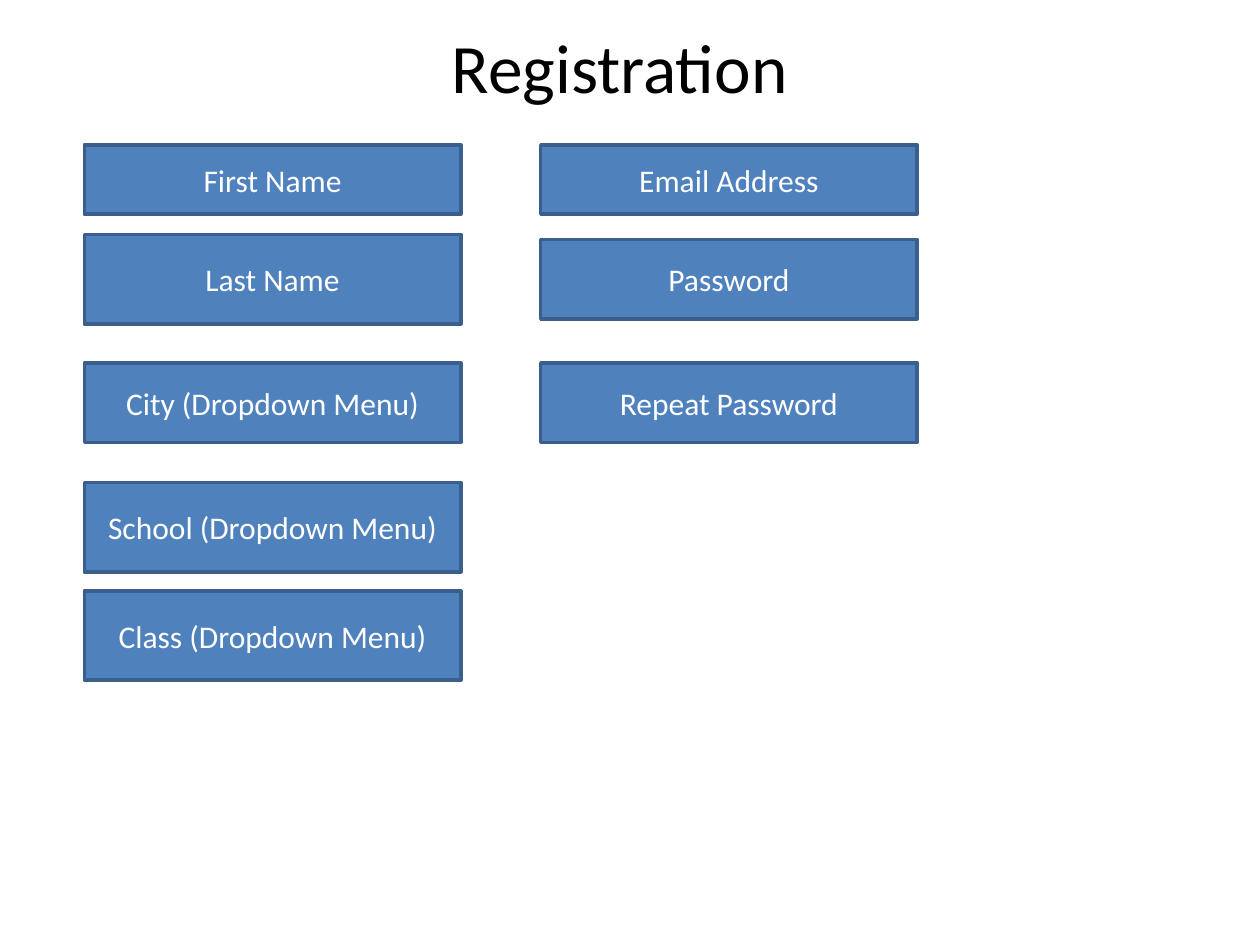
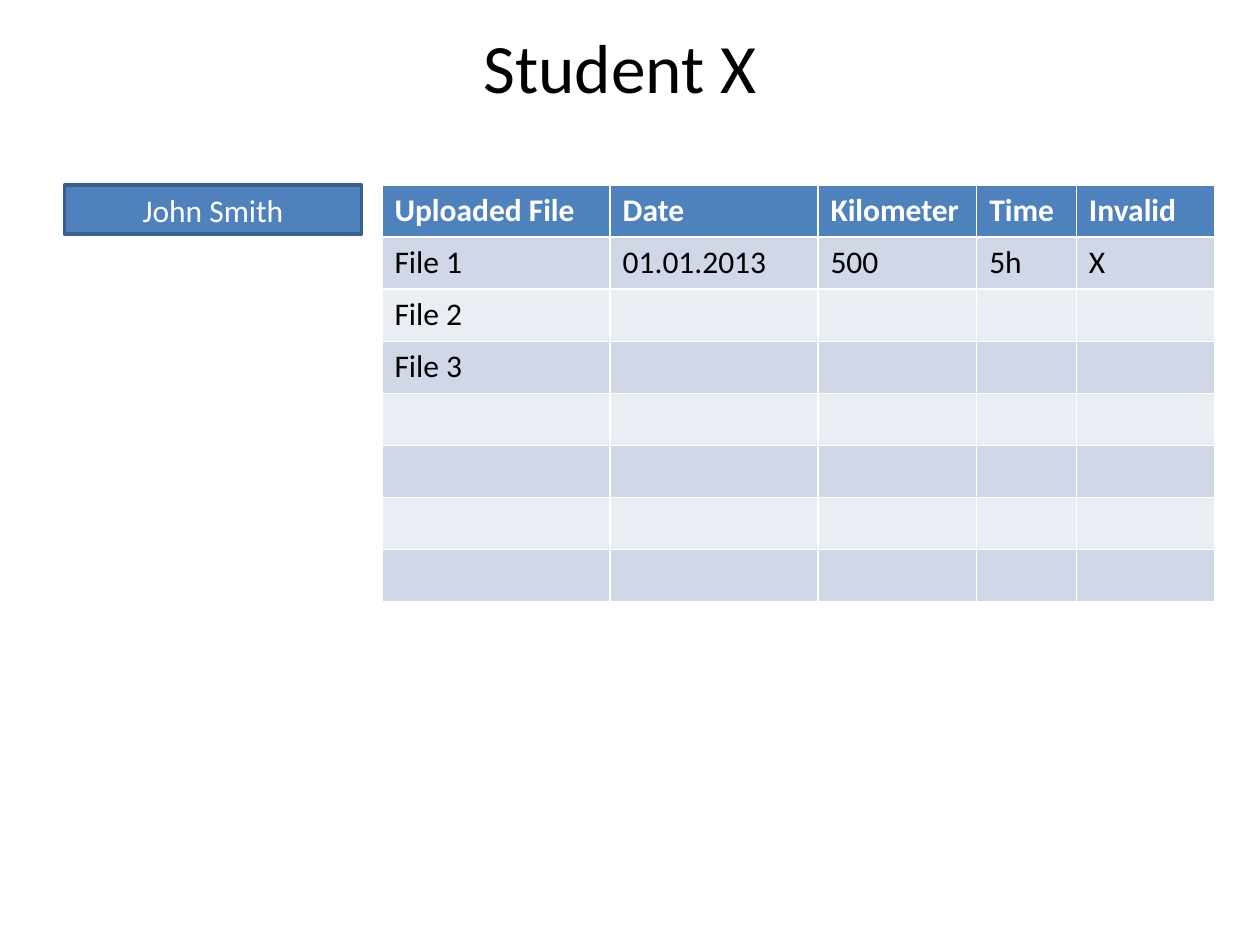
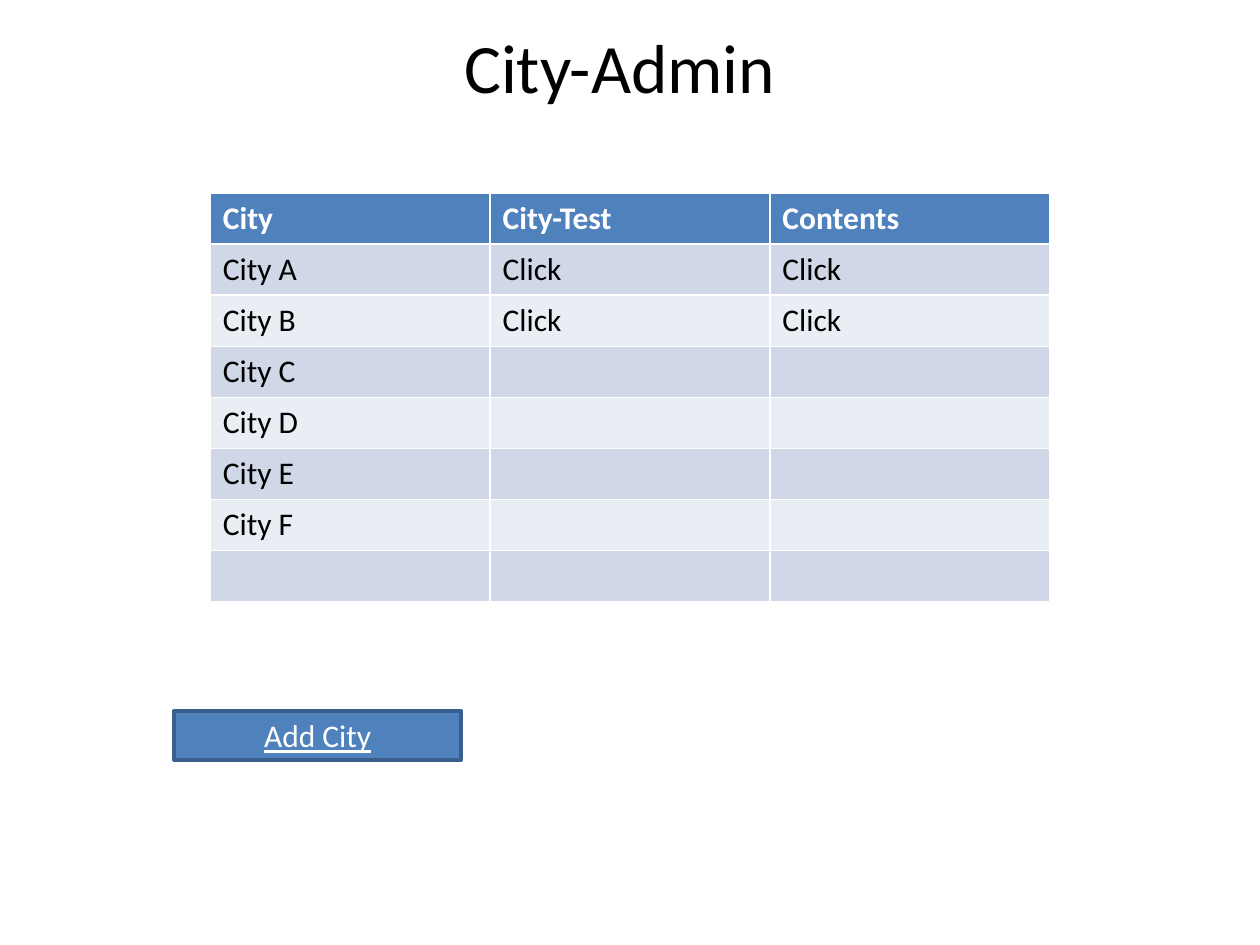
import dataclasses

import pptx
import pptx.dml.color
import pptx.enum.shapes
import pptx.enum.text
import pptx.util

Cm = pptx.util.Cm
Pt = pptx.util.Pt


@dataclasses.dataclass(frozen=True)
class Theme:
    font: str = "Calibri"
    title_size: float = 39.6
    text_size: float = 18
    line_width: float = 2
    black: str = "000000"
    white: str = "FFFFFF"
    blue: str = "4F81BD"
    blue_line: str = "3A5F8C"
    bands: tuple = ("D0D8E8", "E9EDF4")


THEME = Theme()
TITLE_BOX = (3.3, 0.74, 18.39, 1.19)
TITLE_ONLY_LAYOUT = 5
BUTTON_HEIGHT = 0.99

# Form columns: left edge, then (label, height) of each field from the top
FIELD_WIDTH = 7.59
FIELD_ROW_CENTERS = (3.62, 5.63, 8.12, 10.63, 12.81)
FORM_COLUMNS = (
    (1.7, (("First Name", 1.4), ("Last Name", 1.8), ("City (Dropdown Menu)", 1.6),
           ("School (Dropdown Menu)", 1.8), ("Class (Dropdown Menu)", 1.8))),
    (10.9, (("Email Address", 1.4), ("Password", 1.6), ("Repeat Password", 1.6))),
)

TABLE_ROW_COUNT = 8
UPLOADS = (
    ("Uploaded File", "Date", "Kilometer", "Time", "Invalid"),
    ("File 1", "01.01.2013", "500", "5h", "X"),
    ("File 2",),
    ("File 3",),
)
UPLOAD_WIDTHS = (4.6, 4.19, 3.2, 2.01, 2.79)
CITIES = (
    ("City", "City-Test", "Contents"),
    ("City A", "Click", "Click"),
    ("City B", "Click", "Click"),
    ("City C",),
    ("City D",),
    ("City E",),
    ("City F",),
)
CITY_WIDTHS = (5.64,) * 3


def rgb(color):
    return pptx.dml.color.RGBColor.from_string(color)


def format_text(text_frame, size, color, bold=False, underline=False):
    for paragraph in text_frame.paragraphs:
        for run in paragraph.runs:
            run.font.name = THEME.font
            run.font.size = Pt(size)
            run.font.color.rgb = rgb(color)
            run.font.bold = bold
            run.font.underline = underline


def add_titled_slide(presentation, text):
    slide = presentation.slides.add_slide(presentation.slide_layouts[TITLE_ONLY_LAYOUT])
    title = slide.shapes.title
    title.left, title.top, title.width, title.height = map(Cm, TITLE_BOX)
    text_frame = title.text_frame
    text_frame.text = text
    text_frame.auto_size = pptx.enum.text.MSO_AUTO_SIZE.NONE
    text_frame.vertical_anchor = pptx.enum.text.MSO_ANCHOR.MIDDLE
    text_frame.paragraphs[0].alignment = pptx.enum.text.PP_ALIGN.CENTER
    format_text(text_frame, THEME.title_size, THEME.black)
    return slide


def add_box(slide, text, left, top, width, height, underline=False):
    box = slide.shapes.add_shape(pptx.enum.shapes.MSO_SHAPE.RECTANGLE,
                                 Cm(left), Cm(top), Cm(width), Cm(height))
    box.shadow.inherit = False
    box.fill.solid()
    box.fill.fore_color.rgb = rgb(THEME.blue)
    box.line.color.rgb = rgb(THEME.blue_line)
    box.line.width = Pt(THEME.line_width)
    text_frame = box.text_frame
    text_frame.text = text
    text_frame.vertical_anchor = pptx.enum.text.MSO_ANCHOR.MIDDLE
    text_frame.paragraphs[0].alignment = pptx.enum.text.PP_ALIGN.CENTER
    format_text(text_frame, THEME.text_size, THEME.white, underline=underline)


def add_banded_table(slide, rows, widths, left, top, row_height):
    """Add a table with a blue header; rows and cells without content stay blank."""
    table = slide.shapes.add_table(
        TABLE_ROW_COUNT, len(widths), Cm(left), Cm(top),
        Cm(sum(widths)), Cm(row_height * TABLE_ROW_COUNT)).table
    for column, width in zip(table.columns, widths):
        column.width = Cm(width)
    for row_index, table_row in enumerate(table.rows):
        table_row.height = Cm(row_height)
        is_header = row_index == 0
        texts = rows[row_index] if row_index < len(rows) else ()
        fill = THEME.blue if is_header else THEME.bands[(row_index - 1) % 2]
        for cell in table_row.cells:
            cell.fill.solid()
            cell.fill.fore_color.rgb = rgb(fill)
        for cell, text in zip(table_row.cells, texts):
            cell.text_frame.text = text
            format_text(cell.text_frame, THEME.text_size,
                        THEME.white if is_header else THEME.black, bold=is_header)


def add_registration(presentation):
    slide = add_titled_slide(presentation, "Registration")
    for left, fields in FORM_COLUMNS:
        for center, (label, height) in zip(FIELD_ROW_CENTERS, fields):
            add_box(slide, label, left, center - height / 2, FIELD_WIDTH, height)


def add_student(presentation):
    slide = add_titled_slide(presentation, "Student X")
    top = 3.73
    add_box(slide, "John Smith", 1.3, top, 5.99, BUTTON_HEIGHT)
    add_banded_table(slide, UPLOADS, UPLOAD_WIDTHS, 7.7, top, 1.05)


def add_city_admin(presentation):
    slide = add_titled_slide(presentation, "City-Admin")
    add_banded_table(slide, CITIES, CITY_WIDTHS, 4.24, 3.89, 1.03)
    add_box(slide, "Add City", 3.51, 14.33, 5.79, BUTTON_HEIGHT, underline=True)


def main():
    presentation = pptx.Presentation()
    presentation.slide_width = Cm(25.4)
    presentation.slide_height = Cm(19.05)
    add_registration(presentation)
    add_student(presentation)
    add_city_admin(presentation)
    presentation.save("out.pptx")


if __name__ == "__main__":
    main()
